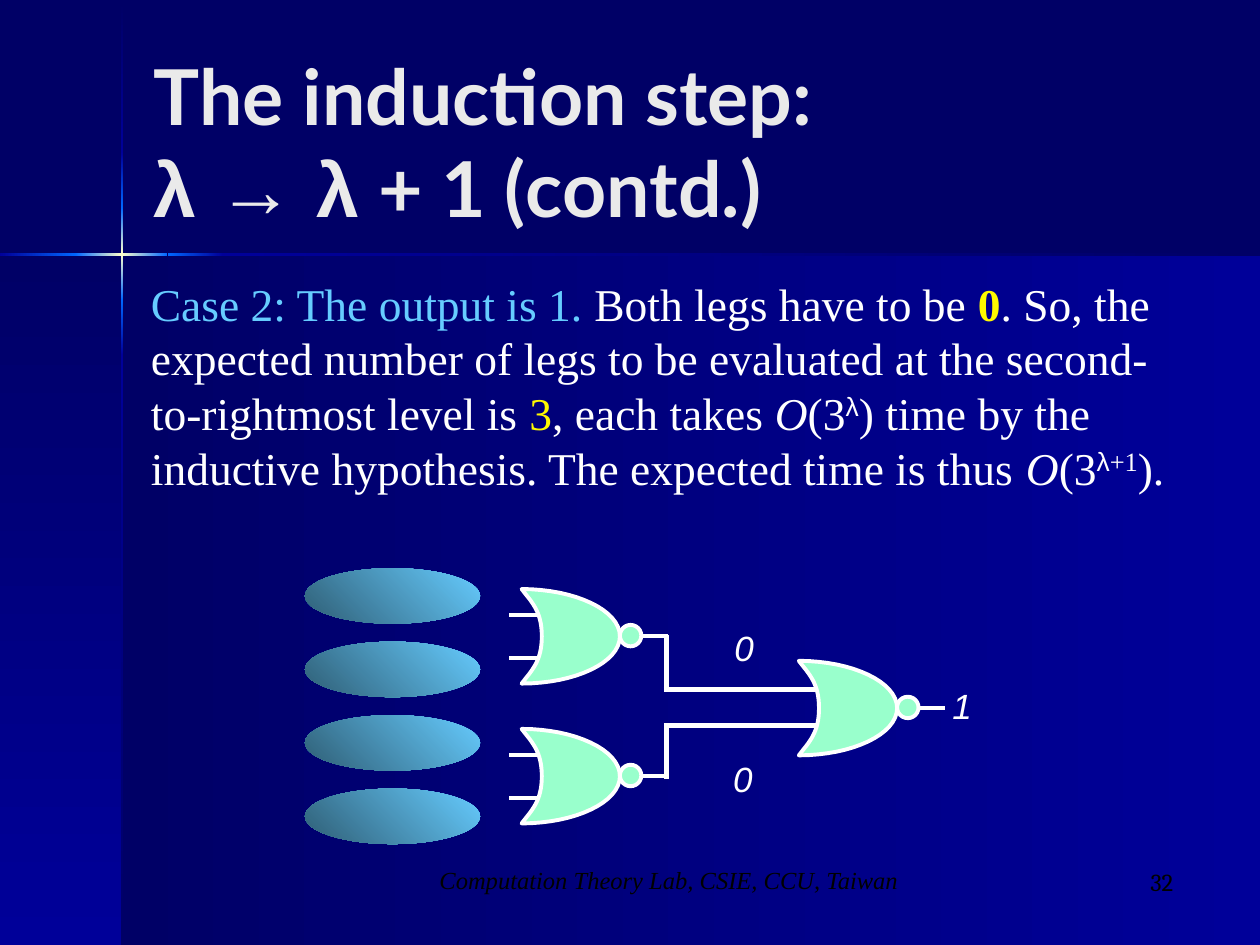
from lxml.etree import SubElement
from pptx import Presentation
from pptx.dml.color import RGBColor
from pptx.enum.shapes import MSO_CONNECTOR, MSO_SHAPE
from pptx.enum.text import MSO_ANCHOR, PP_ALIGN
from pptx.oxml.ns import qn
from pptx.util import Inches, Pt

COLORS = {
    "night": "000066", "navy": "000099", "blue": "0066FF", "glow": "FFFFCC",
    "white": "FFFFFF", "mint": "99FFCC", "sky": "66CCFF", "teal": "2F5E75",
    "yellow": "FFFA00", "title": "EAEAEA", "black": "000000",
}
SERIF = "Times New Roman"
DOWN, LEFTWARD, DOWN_LEFT = 270, 180, 225


def rgb(name):
    return RGBColor.from_string(COLORS[name])


def style_run(r, size, font, color, bold=False, italic=False, raised=False):
    r.font.size = Pt(size)
    r.font.name = font
    r.font.color.rgb = rgb(color)
    r.font.bold = bold
    r.font.italic = italic
    if raised:
        r.font._element.set("baseline", "30000")


def add_gradient(s, kind, box, names, angle):
    sp = s.shapes.add_shape(kind, *map(Inches, box))
    sp.shadow.inherit = False
    sp.line.fill.background()
    sp.fill.gradient()
    sp.fill.gradient_angle = angle
    stops = sp._element.spPr.find(qn("a:gradFill")).find(qn("a:gsLst"))
    for stop in list(stops):
        stops.remove(stop)
    for i, name in enumerate(names):
        position = 100000 * i // (len(names) - 1)
        stop = SubElement(stops, qn("a:gs"), pos=str(position))
        SubElement(stop, qn("a:srgbClr"), val=COLORS[name])


def add_backdrop(s):
    s.background.fill.solid()
    s.background.fill.fore_color.rgb = rgb("night")
    flare = ("blue", "glow", "blue")
    bars = [
        ((0.97, 2.02, 9.03, 5.48), ("navy", "night"), LEFTWARD),
        ((0, 2.02, 0.97, 5.48), ("night", "navy"), DOWN),
        ((0.96, 0.01, 0.02, 1.2), ("night", "navy"), DOWN),
        ((0.96, 2.82, 0.02, 4.68), ("navy", "night"), DOWN),
        ((1.77, 2.01, 8.23, 0.02), ("night", "navy"), LEFTWARD),
        ((0.96, 2.38, 0.02, 0.44), ("blue", "navy"), DOWN),
        ((0.96, 1.21, 0.02, 0.44), ("navy", "blue"), DOWN),
        ((0.96, 1.65, 0.02, 0.73), flare, DOWN),
        ((0, 2.01, 0.61, 0.02), ("blue", "navy"), LEFTWARD),
        ((1.33, 2.01, 0.44, 0.02), ("navy", "blue"), LEFTWARD),
        ((0.6, 2.01, 0.73, 0.02), flare, LEFTWARD),
    ]
    for box, names, angle in bars:
        add_gradient(s, MSO_SHAPE.RECTANGLE, box, names, angle)


def add_wire(shapes, x1, y1, x2, y2, width=3):
    wire = shapes.add_connector(MSO_CONNECTOR.STRAIGHT, *map(Inches, (x1, y1, x2, y2)))
    wire.line.color.rgb = rgb("white")
    wire.line.width = Pt(width)
    SubElement(wire._element.spPr, qn("a:effectLst"))


def style_gate_part(sp):
    sp.shadow.inherit = False
    sp.fill.solid()
    sp.fill.fore_color.rgb = rgb("mint")
    sp.line.color.rgb = rgb("white")
    sp.line.width = Pt(2.25)


def curve_points(a, b, c, d, steps=16):
    for i in range(1, steps + 1):
        t = i / steps
        u = 1 - t
        yield tuple(u**3 * p + 3 * u * u * t * q + 3 * u * t * t * v + t**3 * w
                    for p, q, v, w in zip(a, b, c, d))


def add_gate(s, x, y, has_inputs):
    shapes = s.shapes.add_group_shape().shapes
    curves = [
        ((0, -0.375), (0.08, -0.27), (0.16, -0.2), (0.16, 0)),
        ((0.16, 0), (0.16, 0.2), (0.08, 0.27), (0, 0.375)),
        ((0, 0.375), (0.42, 0.375), (0.78, 0.21), (0.78, 0)),
        ((0.78, 0), (0.78, -0.21), (0.42, -0.375), (0, -0.375)),
    ]
    outline = [(Inches(x + px), Inches(y + py))
               for curve in curves for px, py in curve_points(*curve)]
    builder = shapes.build_freeform(*outline[-1])
    builder.add_line_segments(outline[:-1], close=True)
    style_gate_part(builder.convert_to_shape())
    add_wire(shapes, x + 0.78, y, x + 1.16, y, 2.25)
    if has_inputs:
        for dy in (-0.17, 0.17):
            add_wire(shapes, x - 0.1, y + dy, x + 0.12, y + dy, 2.25)
    bubble = shapes.add_shape(
        MSO_SHAPE.OVAL, *map(Inches, (x + 0.78, y - 0.09, 0.17, 0.17)))
    style_gate_part(bubble)


def add_label(s, text, box, size, font, color, align, italic=True, anchor=MSO_ANCHOR.TOP, wrap=True):
    tf = s.shapes.add_textbox(*map(Inches, box)).text_frame
    tf.word_wrap = wrap
    tf.vertical_anchor = anchor
    tf.text = text
    p = tf.paragraphs[0]
    p.alignment = align
    style_run(p.runs[0], size, font, color, italic=italic)


def add_title(s):
    title = s.shapes.title
    title.left, title.top, title.width, title.height = map(Inches, (1.12, 0.33, 8.25, 1.57))
    tf = title.text_frame
    tf.vertical_anchor = MSO_ANCHOR.MIDDLE
    p = tf.paragraphs[0]
    p.text = "The induction step:\vλ → λ"
    p.alignment = PP_ALIGN.LEFT
    p.add_run().text = " + 1 (contd.)"
    for r, font in zip(p.runs, ("Lato", "Arial", "Lato")):
        style_run(r, 44, font, "title", bold=True)


def add_case_text(s):
    tf = s.shapes.add_textbox(*map(Inches, (1.1, 2.14, 8.4, 1.84))).text_frame
    tf.word_wrap = True
    p = tf.paragraphs[0]
    italic = {"italic": True}
    raised = {"raised": True}
    raised_sans = {"raised": True, "font": "Arial"}
    parts = [
        ("Case 2: The output is 1.", {"color": "sky"}),
        (" Both legs have to be ", {}),
        ("0", {"color": "yellow", "bold": True}),
        (". So, the expected number of legs to be evaluated at the "
         "second-to-rightmost level is ", {}),
        ("3", {"color": "yellow"}),
        (", each takes ", {}),
        ("O", italic),
        ("(3", {}),
        ("λ", raised_sans),
        (") time by the inductive hypothesis. The expected time is thus ", {}),
        ("O", italic),
        ("(3", {}),
        ("λ", raised_sans),
        ("+1", raised),
        (").", {}),
    ]
    for text, changes in parts:
        r = p.add_run()
        r.text = text
        style_run(r, **{"size": 26, "font": SERIF, "color": "white", **changes})


def add_circuit(s):
    for x, y, has_inputs in ((4.14, 5.05, True), (4.14, 6.16, True), (6.34, 5.62, False)):
        add_gate(s, x, y, has_inputs)
    for leg_y, bus_y in ((5.04, 5.47), (6.18, 5.76)):
        add_wire(s.shapes, 5.29, leg_y, 5.29, bus_y)
        add_wire(s.shapes, 5.27, bus_y, 6.48, bus_y)
    for text, x, y in (("1", 7.46, 5.38), ("0", 5.73, 4.92), ("0", 5.72, 5.96)):
        add_label(s, text, (x, y, 0.35, 0.44), 20, "Arial", "white", PP_ALIGN.CENTER,
                  anchor=MSO_ANCHOR.MIDDLE, wrap=False)
    for i in range(4):
        box = (2.42, 4.51 + i * 0.583, 1.39, 0.44)
        add_gradient(s, MSO_SHAPE.OVAL, box, ("sky", "teal"), DOWN_LEFT)


def main():
    prs = Presentation()
    prs.slide_width, prs.slide_height = Inches(10), Inches(7.5)
    s = prs.slides.add_slide(prs.slide_layouts[5])
    add_backdrop(s)
    add_circuit(s)
    add_case_text(s)
    add_title(s)
    add_label(s, "Computation Theory Lab, CSIE, CCU, Taiwan", (3.13, 6.82, 4.36, 0.5),
              14, SERIF, "black", PP_ALIGN.CENTER)
    add_label(s, "32", (7.33, 6.83, 2.08, 0.5), 14, "Cambria", "black", PP_ALIGN.RIGHT,
              italic=False)
    title = s.shapes.title._element
    title.getparent().append(title)
    prs.save("out.pptx")


if __name__ == "__main__":
    main()
